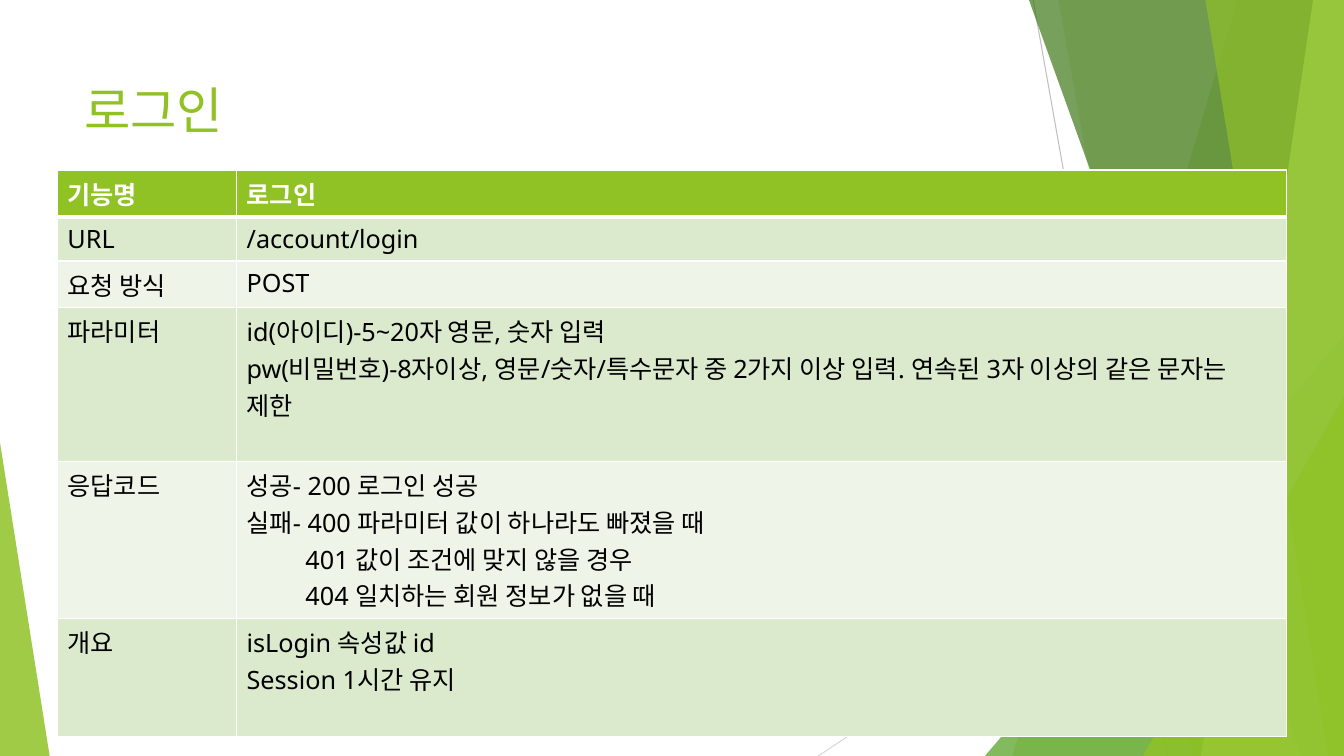
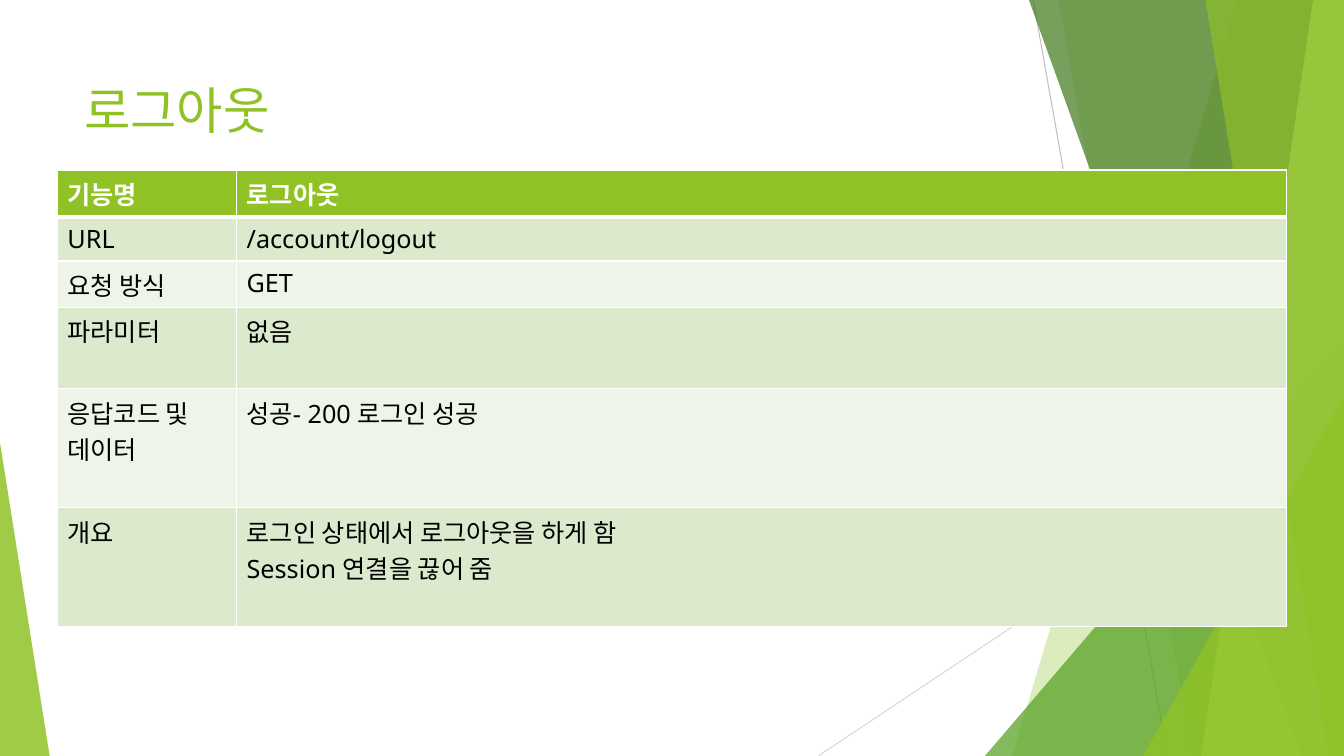
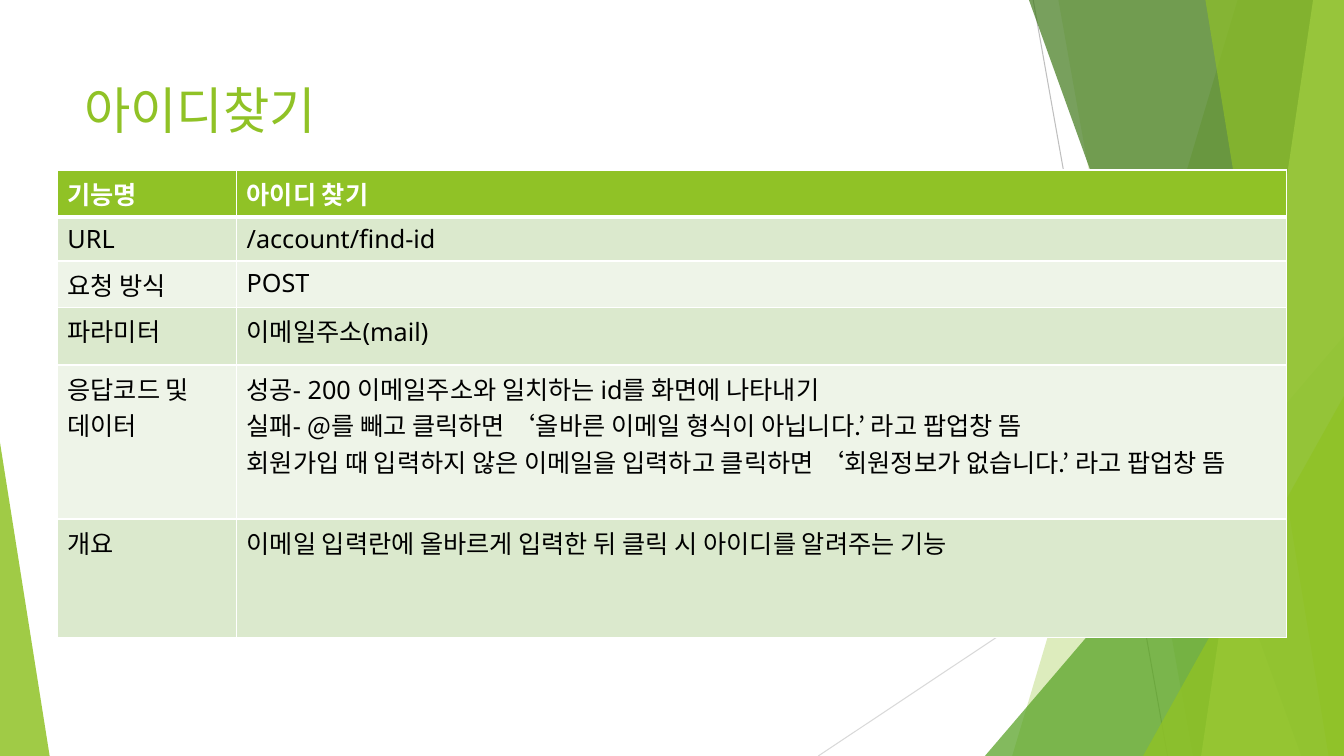
from dataclasses import dataclass

from lxml.etree import SubElement
from pptx import Presentation
from pptx.dml.color import RGBColor
from pptx.enum.dml import MSO_FILL
from pptx.enum.shapes import MSO_CONNECTOR, MSO_SHAPE
from pptx.enum.text import MSO_ANCHOR
from pptx.oxml.ns import qn
from pptx.util import Pt


@dataclass(frozen=True)
class Theme:
    """Colours, fonts, type sizes and page measures of the deck."""
    width: float = 960
    height: float = 540
    lime: str = "90C226"
    green: str = "54A021"
    forest: str = "3F7819"
    pale_lime: str = "C0E474"
    dark_line: str = "BFBFBF"
    light_line: str = "D9D9D9"
    white: str = "FFFFFF"
    black: str = "000000"
    bands: tuple = ("EEF4E8", "DBE9CD")
    font: str = "Noto Sans"
    korean_font: str = "Noto Sans CJK KR"
    title_size: float = 36
    table_size: float = 18
    columns: tuple = (128, 750)
    short_row: float = 28
    border: float = 1
    header_border: float = 3


THEME = Theme()


@dataclass(frozen=True)
class Line:
    """One paragraph of a table cell."""
    text: str
    lead: str = ""
    indent: float = 0
    font: str = THEME.font


def color(code):
    """Turn a hexadecimal code into a colour."""
    return RGBColor.from_string(code)


def style_run(run, size, code, font=THEME.font, bold=False):
    """Set the size, colour and fonts of a run."""
    run.font.size = Pt(size)
    run.font.bold = bold
    run.font.name = font
    run.font.color.rgb = color(code)
    SubElement(run.font._element, qn("a:ea")).set("typeface", THEME.korean_font)


def paint(shape, code, opacity):
    """Fill a shape with a translucent colour and no outline."""
    shape.shadow.inherit = False
    shape.line.fill.background()
    shape.fill.solid()
    shape.fill.fore_color.rgb = color(code)
    fill_color = shape._element.spPr.find(".//" + qn("a:srgbClr"))
    SubElement(fill_color, qn("a:alpha")).set("val", str(opacity * 1000))


def add_ray(shapes, start, end, code):
    """Draw a thin straight line."""
    connector = shapes.add_connector(
        MSO_CONNECTOR.STRAIGHT, *(Pt(value) for value in start + end))
    connector.line.width = Pt(0.75)
    connector.line.color.rgb = color(code)
    SubElement(connector._element.spPr, qn("a:effectLst"))


def add_blade(shapes, top, bottom, code, opacity):
    """Draw a full-height panel from a slanted left edge to the right edge."""
    builder = shapes.build_freeform(Pt(top), 0, scale=1.0)
    corners = [(THEME.width, 0), (THEME.width, THEME.height), (bottom, THEME.height)]
    builder.add_line_segments([(Pt(x), Pt(y)) for x, y in corners], close=True)
    paint(builder.convert_to_shape(), code, opacity)


def add_wedge(shapes, left, top, width, apex, code, opacity):
    """Draw a triangle that stands on the bottom edge."""
    shape = shapes.add_shape(MSO_SHAPE.ISOSCELES_TRIANGLE, Pt(left), Pt(top),
                             Pt(width), Pt(THEME.height - top))
    shape.adjustments[0] = apex
    paint(shape, code, opacity)


def draw_backdrop(shapes):
    """Draw the green panels shared by all slides."""
    add_ray(shapes, (738, 0), (834, 540), THEME.dark_line)
    add_ray(shapes, (960, 290), (584.5, 540), THEME.light_line)
    add_blade(shapes, 884, 723, THEME.lime, 30)
    add_blade(shapes, 756, 852, THEME.lime, 20)
    add_wedge(shapes, 703.5, 240, 256.5, 1, THEME.green, 72)
    add_blade(shapes, 735, 929.5, THEME.forest, 70)
    add_blade(shapes, 938, 858, THEME.pale_lime, 70)
    add_blade(shapes, 861, 949, THEME.lime, 65)
    add_wedge(shapes, 816.5, 283, 143.5, 1, THEME.lime, 80)
    add_wedge(shapes, 0, 316, 35.5, 0, THEME.lime, 85)


def share_backdrop(slide):
    """Draw the backdrop once and move it to the slide's layout."""
    draw_backdrop(slide.shapes)
    for shape in list(slide.shapes):
        slide.slide_layout.shapes._spTree.append(shape._element)


def add_title(slide, text):
    """Write the slide title."""
    box = slide.shapes.add_textbox(Pt(53), Pt(48), Pt(677), Pt(55.5))
    box.text_frame.word_wrap = True
    box.text_frame.vertical_anchor = MSO_ANCHOR.BOTTOM
    box.text_frame.text = text
    style_run(box.text_frame.paragraphs[0].runs[0], THEME.title_size, THEME.lime)


def set_borders(cell, row_index):
    """Give a cell white borders, heavier between header and body."""
    properties = cell._tc.get_or_add_tcPr()
    heavy_side = {0: "lnB", 1: "lnT"}.get(row_index)
    for side in ("lnL", "lnR", "lnT", "lnB"):
        width = THEME.header_border if side == heavy_side else THEME.border
        border = SubElement(properties, qn("a:" + side), w=str(Pt(width)))
        fill = SubElement(border, qn("a:solidFill"))
        SubElement(fill, qn("a:srgbClr"), val=THEME.white)


def write_line(paragraph, line, code, bold):
    """Write one paragraph with its optional lead and indent."""
    if line.indent:
        paragraph._p.get_or_add_pPr().set("marL", str(Pt(line.indent)))
    paragraph.text = line.lead or line.text
    if line.lead:
        paragraph.add_run().text = line.text
    for run in paragraph.runs:
        style_run(run, THEME.table_size, code, THEME.font, bold)
    paragraph.runs[-1].font.name = line.font


def fill_cell(cell, lines, row_index):
    """Style a cell and write its paragraphs."""
    header = row_index == 0
    set_borders(cell, row_index)
    cell.fill.solid()
    cell.fill.fore_color.rgb = color(THEME.lime if header else THEME.bands[row_index % 2])
    frame = cell.text_frame
    for index, line in enumerate(lines):
        paragraph = frame.add_paragraph() if index else frame.paragraphs[0]
        write_line(paragraph, line if isinstance(line, Line) else Line(line),
                   THEME.white if header else THEME.black, header)


def add_spec_table(slide, rows, tall_rows):
    """Add the two-column table that describes one function."""
    heights = [THEME.short_row] * (len(rows) - len(tall_rows)) + list(tall_rows)
    frame = slide.shapes.add_table(len(rows), len(THEME.columns), Pt(41), Pt(121.5),
                                   Pt(sum(THEME.columns)), Pt(sum(heights)))
    table = frame.table
    table.horz_banding = False
    for column, width in zip(table.columns, THEME.columns):
        column.width = Pt(width)
    for row_index, (row, height, texts) in enumerate(zip(table.rows, heights, rows)):
        row.height = Pt(height)
        for cell, lines in zip(row.cells, texts):
            fill_cell(cell, lines, row_index)


def add_spec_slide(slide, title, name, url, method, parameters, response_label,
                   responses, summary, tall_rows):
    """Fill a slide with its title and its function table."""
    rows = [
        (["기능명"], [name]),
        (["URL"], [url]),
        (["요청 방식"], [method]),
        (["파라미터"], parameters),
        (response_label, responses),
        (["개요"], summary),
    ]
    add_spec_table(slide, rows, tall_rows)
    add_title(slide, title)


SPECS = [
    dict(
        title="로그인", name="로그인", url="/account/login", method="POST",
        parameters=[
            "id(아이디)-5~20자 영문, 숫자 입력",
            "pw(비밀번호)-8자이상, 영문/숫자/특수문자 중 2가지 이상 입력. "
            "연속된 3자 이상의 같은 문자는 제한",
        ],
        response_label=["응답코드"],
        responses=[
            "성공- 200 로그인 성공",
            "실패- 400 파라미터 값이 하나라도 빠졌을 때",
            Line("401 값이 조건에 맞지 않을 경우", indent=42),
            Line("404 일치하는 회원 정보가 없을 때", indent=42),
        ],
        summary=["isLogin 속성값 id", "Session 1시간 유지"],
        tall_rows=(110, 111.5, 84.5),
    ),
    dict(
        title="로그아웃", name="로그아웃", url="/account/logout", method="GET",
        parameters=["없음"],
        response_label=["응답코드 및", "데이터"],
        responses=["성공- 200 로그인 성공"],
        summary=["로그인 상태에서 로그아웃을 하게 함", "Session 연결을 끊어 줌"],
        tall_rows=(58, 85, 84.5),
    ),
    dict(
        title="아이디찾기", name="아이디 찾기", url="/account/find-id", method="POST",
        parameters=["이메일주소(mail)"],
        response_label=["응답코드 및", "데이터"],
        responses=[
            "성공- 200 이메일주소와 일치하는 id를 화면에 나타내기",
            Line("@를 빼고 클릭하면 ‘올바른 이메일 형식이 아닙니다.’ 라고 팝업창 뜸",
                 lead="실패- ", font=THEME.korean_font),
            Line("회원가입 때 입력하지 않은 이메일을 입력하고 클릭하면 "
                 "‘회원정보가 없습니다.’ 라고 팝업창 뜸", font=THEME.korean_font),
        ],
        summary=[Line("이메일 입력란에 올바르게 입력한 뒤 클릭 시 아이디를 알려주는 기능",
                      font=THEME.korean_font)],
        tall_rows=(41, 110, 84.5),
    ),
]


def main():
    """Build and save the presentation."""
    presentation = Presentation()
    presentation.slide_width = Pt(THEME.width)
    presentation.slide_height = Pt(THEME.height)
    blank_layout = presentation.slide_layouts[6]
    for index, content in enumerate(SPECS):
        slide = presentation.slides.add_slide(blank_layout)
        if index == 0:
            share_backdrop(slide)
        add_spec_slide(slide, **content)
    presentation.save("out.pptx")


if __name__ == "__main__":
    main()
